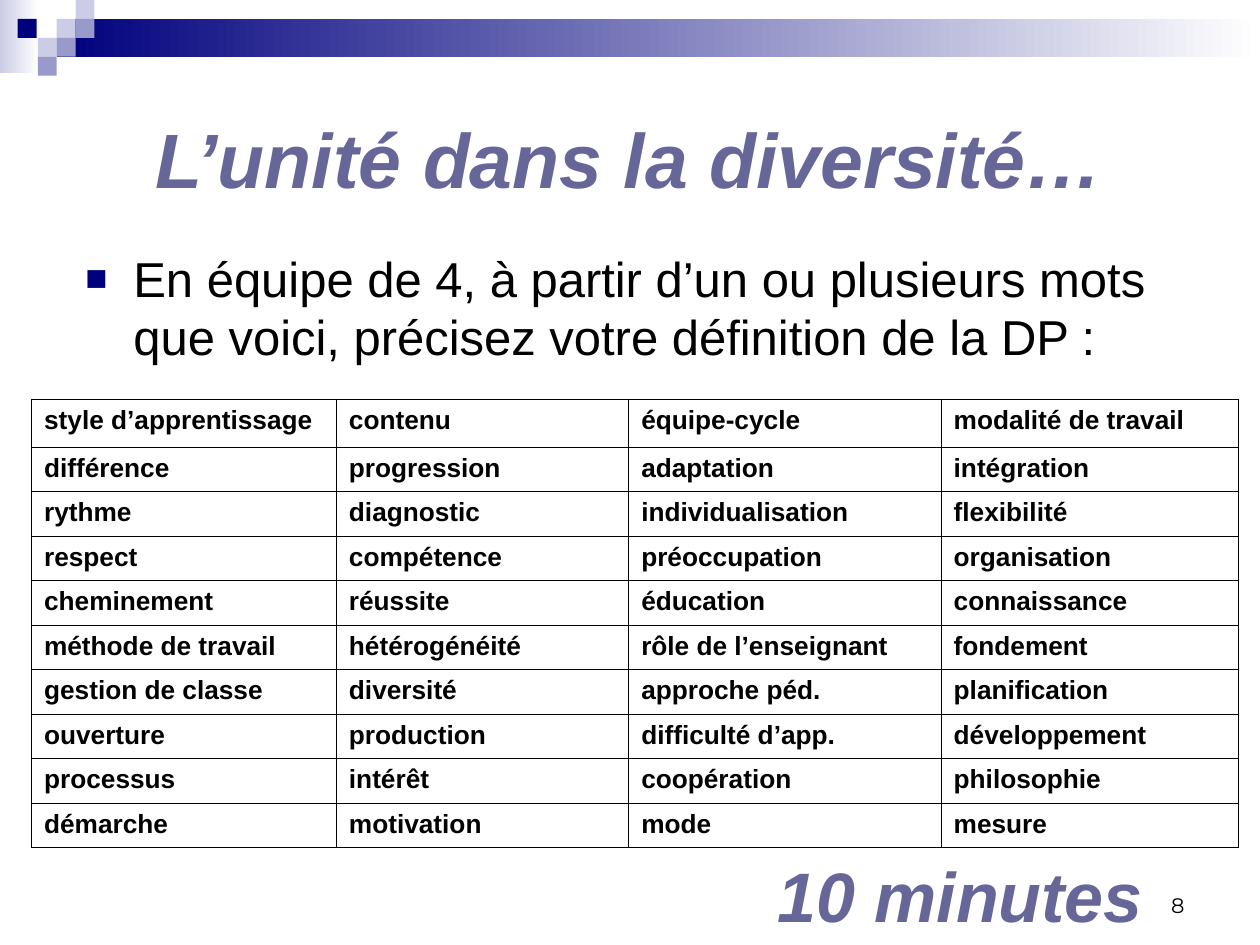
from lxml import etree
from pptx import Presentation
from pptx.dml.color import RGBColor
from pptx.enum import shapes, text
from pptx.oxml.ns import qn
from pptx.util import Inches, Pt

NAVY = RGBColor(0x00, 0x00, 0x7D)
LILAC = RGBColor(0x99, 0x99, 0xCC)
PALE = RGBColor(0xCC, 0xCC, 0xE6)
SLATE = RGBColor(0x66, 0x66, 0x99)
BLACK = RGBColor(0, 0, 0)
WHITE = RGBColor(0xFF, 0xFF, 0xFF)

HEADLINE = {"name": "Arial", "bold": True, "italic": True}
BODY = {"name": "Arial", "size": Pt(28)}
CELL = {"name": "Arial", "size": Pt(15), "bold": True}
NUMBER = {"name": "Montserrat", "size": Pt(12)}

SQUARES = [
    (0.45, 0.15, PALE), (0.6, 0, PALE), (0.6, 0.15, LILAC), (0.3, 0.3, PALE),
    (0.14, 0.15, NAVY), (0.45, 0.3, LILAC), (0.3, 0.45, LILAC),
]
COLUMN_WIDTHS = [2.42, 2.32, 2.48, 2.36]
WORDS = [
    ["style d’apprentissage", "contenu", "équipe-cycle", "modalité de travail"],
    ["différence", "progression", "adaptation", "intégration"],
    ["rythme", "diagnostic", "individualisation", "flexibilité"],
    ["respect", "compétence", "préoccupation", "organisation"],
    ["cheminement", "réussite", "éducation", "connaissance"],
    ["méthode de travail", "hétérogénéité", "rôle de l’enseignant", "fondement"],
    ["gestion de classe", "diversité", "approche péd.", "planification"],
    ["ouverture", "production", "difficulté d’app.", "développement"],
    ["processus", "intérêt", "coopération", "philosophie"],
    ["démarche", "motivation", "mode", "mesure"],
]


def style_font(font, color, formats):
    for name, value in formats.items():
        setattr(font, name, value)
    font.color.rgb = color


def add_rectangle(page, left, top, width, height, color, fade=False):
    """Draw a borderless rectangle, fading to white on the right if asked."""
    box = page.shapes.add_shape(
        shapes.MSO_SHAPE.RECTANGLE,
        Inches(left), Inches(top), Inches(width), Inches(height))
    box.shadow.inherit = False
    box.line.fill.background()
    if fade:
        box.fill.gradient()
        box.fill.gradient_angle = 0
        for stop, shade in zip(box.fill.gradient_stops, (color, WHITE)):
            stop.color.rgb = shade
    else:
        box.fill.solid()
        box.fill.fore_color.rgb = color


def add_banner(page, left, top):
    add_rectangle(page, left, top, 0.31, 0.58, PALE, fade=True)
    add_rectangle(page, left + 0.45, top + 0.15, 9.55, 0.3, NAVY, fade=True)
    for x, y, color in SQUARES:
        add_rectangle(page, left + x, top + y, 0.15, 0.15, color)


def add_text(page, left, top, width, height, words, color, formats,
             align=text.PP_ALIGN.LEFT, anchor=text.MSO_ANCHOR.TOP,
             wrap=True, bullet=False):
    box = page.shapes.add_textbox(
        Inches(left), Inches(top), Inches(width), Inches(height))
    frame = box.text_frame
    frame.word_wrap = wrap
    frame.vertical_anchor = anchor
    para = frame.paragraphs[0]
    para.alignment = align
    if bullet:
        add_square_bullet(para)
    span = para.add_run()
    span.text = words
    style_font(span.font, color, formats)


def add_square_bullet(para):
    properties = para._p.get_or_add_pPr()
    properties.set("marL", str(Inches(0.38)))
    properties.set("indent", str(-Inches(0.38)))
    tint = etree.SubElement(properties, qn("a:buClr"))
    etree.SubElement(tint, qn("a:srgbClr"), val=str(NAVY))
    etree.SubElement(properties, qn("a:buSzPct"), val="75000")
    etree.SubElement(properties, qn("a:buFont"), typeface="Arial")
    etree.SubElement(properties, qn("a:buChar"), char="■")


def add_borders(cell):
    properties = cell._tc.get_or_add_tcPr()
    for position, side in enumerate(("lnL", "lnR", "lnT", "lnB")):
        line = etree.Element(qn(f"a:{side}"), w=str(Pt(0.45)))
        fill = etree.SubElement(line, qn("a:solidFill"))
        etree.SubElement(fill, qn("a:srgbClr"), val=str(BLACK))
        properties.insert(position, line)


def add_word_table(page, left, top, width, height, header_height=0.38):
    table = page.shapes.add_table(
        len(WORDS), len(COLUMN_WIDTHS),
        Inches(left), Inches(top), Inches(width), Inches(height)).table
    table.first_row = table.horz_banding = False
    for column, column_width in zip(table.columns, COLUMN_WIDTHS):
        column.width = Inches(column_width)
    row_height = (height - header_height) / (len(WORDS) - 1)
    for index, (row, entries) in enumerate(zip(table.rows, WORDS)):
        row.height = Inches(row_height if index else header_height)
        for cell, entry in zip(row.cells, entries):
            cell.fill.background()
            add_borders(cell)
            span = cell.text_frame.paragraphs[0].add_run()
            span.text = entry
            style_font(span.font, BLACK, CELL)


def main():
    deck = Presentation()
    deck.slide_width, deck.slide_height = Inches(10), Inches(7.5)
    page = deck.slides.add_slide(deck.slide_layouts[6])
    add_banner(page, 0, 0)
    add_text(page, 0.5, 0.5, 9, 1.5, "L’unité dans la diversité…", SLATE,
             HEADLINE | {"size": Pt(44)}, align=text.PP_ALIGN.CENTER,
             anchor=text.MSO_ANCHOR.MIDDLE)
    add_text(page, 0.58, 1.92, 8.75, 4.25,
             "En équipe de 4, à partir d’un ou plusieurs mots que voici, "
             "précisez votre définition de la DP :", BLACK, BODY, bullet=True)
    add_word_table(page, 0.25, 3.17, 9.58, 3.56)
    add_text(page, 6.07, 6.72, 3.1, 0.77, "10 minutes", SLATE,
             HEADLINE | {"size": Pt(40)}, align=text.PP_ALIGN.CENTER, wrap=False)
    add_text(page, 7.17, 6.83, 2.33, 0.5, "8", BLACK, NUMBER,
             align=text.PP_ALIGN.RIGHT, anchor=text.MSO_ANCHOR.BOTTOM)
    deck.save("out.pptx")


if __name__ == "__main__":
    main()
